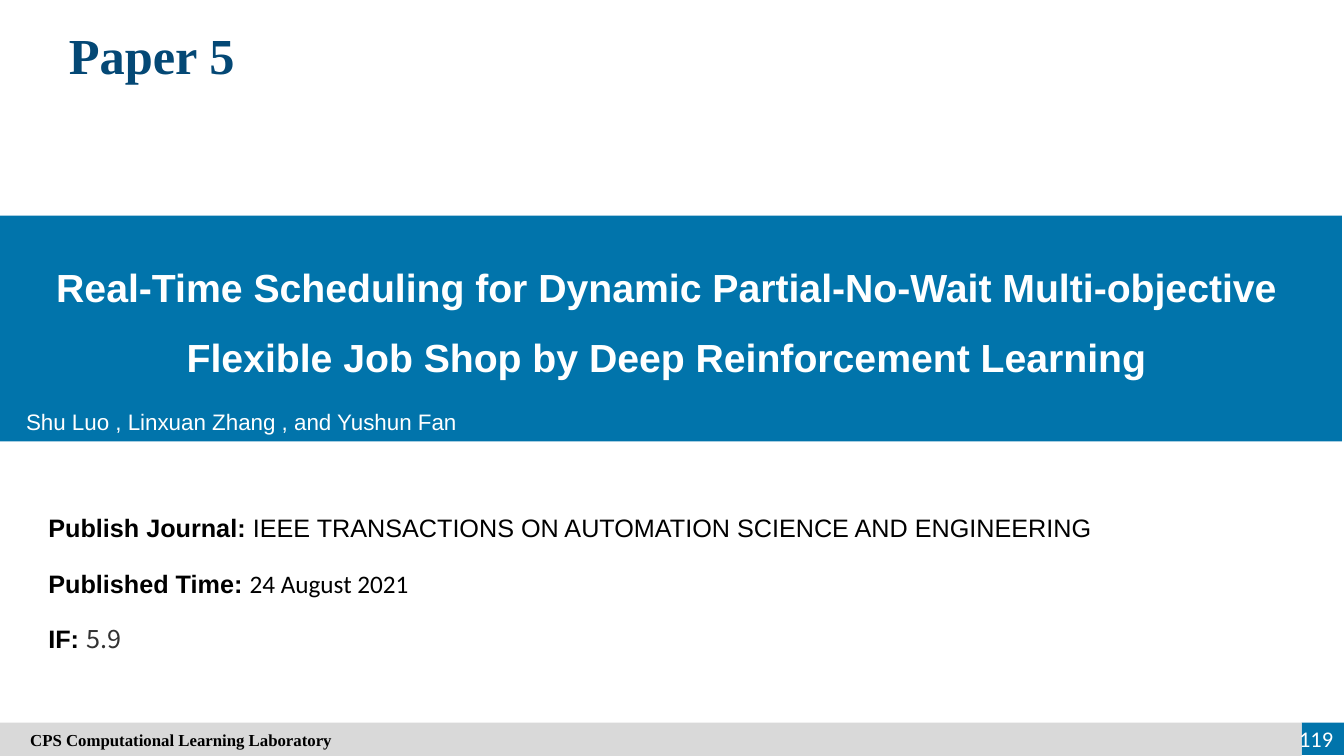
from lxml.etree import SubElement
from pptx import Presentation
from pptx.dml.color import RGBColor
from pptx.enum.shapes import MSO_SHAPE
from pptx.enum.text import MSO_ANCHOR, MSO_AUTO_SIZE, PP_ALIGN
from pptx.oxml.ns import qn
from pptx.util import Inches, Pt

WIDE, HIGH = Inches(13.33), Inches(7.5)
HUES = {"blue": "0174AB", "navy": "044875", "gray": "D9D9D9",
        "white": "FFFFFF", "black": "000000", "dark": "333333"}
FACTS = [
    ("Publish Journal:", " IEEE TRANSACTIONS ON AUTOMATION SCIENCE AND ENGINEERING",
     "Arial", "black"),
    ("Published Time: ", "24 August 2021", "Calibri", "black"),
    ("IF: ", "5.9", "Noto Sans CJK SC", "dark"),
]


def color(name):
    """Return the named colour."""
    return RGBColor.from_string(HUES[name])


def grid(left, top, width, height):
    """Turn percentages of the slide into a box."""
    return [int(size * part / 100) for size, part in
            zip((WIDE, HIGH, WIDE, HIGH), (left, top, width, height))]


def put(item, **values):
    """Set every given attribute on an object."""
    for key, value in values.items():
        setattr(item, key, value)


def place(shape, area):
    """Move a placeholder to an area of the grid."""
    put(shape, **dict(zip(("left", "top", "width", "height"), grid(*area))))


def write(para, text, size, face, hue, bold=False):
    """Add one formatted run to a paragraph."""
    run = para.add_run()
    run.text = text
    put(run.font, size=Pt(size), name=face, bold=bold)
    run.font.color.rgb = color(hue)


def fill(shape, text, size, face, hue, bold=False,
         align=PP_ALIGN.LEFT, anchor=MSO_ANCHOR.MIDDLE, space=1.0):
    """Write a single paragraph into a shape."""
    frame = shape.text_frame
    put(frame, word_wrap=True, auto_size=MSO_AUTO_SIZE.NONE,
        vertical_anchor=anchor)
    para = frame.paragraphs[0]
    put(para, alignment=align, line_spacing=space)
    write(para, text, size, face, hue, bold)


def block(slide, area, hue):
    """Add a plain filled rectangle."""
    shape = slide.shapes.add_shape(MSO_SHAPE.RECTANGLE, *grid(*area))
    shape.shadow.inherit = False
    shape.fill.solid()
    shape.fill.fore_color.rgb = color(hue)
    shape.line.fill.background()
    return shape


def label(slide, area, *style, **more):
    """Add a text box with one paragraph."""
    fill(slide.shapes.add_textbox(*grid(*area)), *style, **more)


def detail(body):
    """List the publication facts without bullets."""
    place(body, (2.85, 63.7, 83.1, 23.4))
    frame = body.text_frame
    put(frame, word_wrap=True, auto_size=MSO_AUTO_SIZE.NONE,
        vertical_anchor=MSO_ANCHOR.TOP)
    for order, (name, value, face, hue) in enumerate(FACTS):
        para = frame.add_paragraph() if order else frame.paragraphs[0]
        props = para._p.get_or_add_pPr()
        props.set("marL", "0")
        props.set("indent", "0")
        SubElement(props, qn("a:buNone"))
        put(para, line_spacing=Pt(39.8), space_before=Pt(0))
        write(para, name, 18, "Arial", "black", True)
        write(para, value, 18, face, hue)


def footer(slide):
    """Draw the laboratory bar and the page number."""
    block(slide, (96.85, 95.6, 3.15, 4.27), "blue")
    bar = block(slide, (0, 95.6, 96.85, 4.4), "gray")
    fill(bar, "CPS Computational Learning Laboratory", 12,
         "Times New Roman", "black", True)
    bar.text_frame.margin_left = Inches(0.3)
    label(slide, (95.2, 95.48, 4.73, 4.5), "119", 16, "Calibri", "white",
          align=PP_ALIGN.RIGHT)


def main():
    """Build and save the slide."""
    deck = Presentation()
    put(deck, slide_width=WIDE, slide_height=HIGH)
    slide = deck.slides.add_slide(deck.slide_layouts[1])
    title, body = slide.placeholders
    place(title, (2.85, 2.4, 16.88, 9.47))
    fill(title, "Paper 5", 36, "Times New Roman", "navy", True,
         PP_ALIGN.CENTER)
    block(slide, (0, 28.53, 99.85, 29.87), "blue")
    label(slide, (2.63, 31.47, 93.92, 19.07),
          "Real-Time Scheduling for Dynamic Partial-No-Wait Multi-objective "
          "Flexible Job Shop by Deep Reinforcement Learning",
          28, "Arial", "white", True, align=PP_ALIGN.CENTER, space=1.5)
    label(slide, (1.2, 53.33, 97.5, 4.93),
          "Shu Luo , Linxuan Zhang , and Yushun Fan", 16, "Arial", "white",
          anchor=MSO_ANCHOR.TOP)
    detail(body)
    footer(slide)
    deck.save("out.pptx")


if __name__ == "__main__":
    main()
